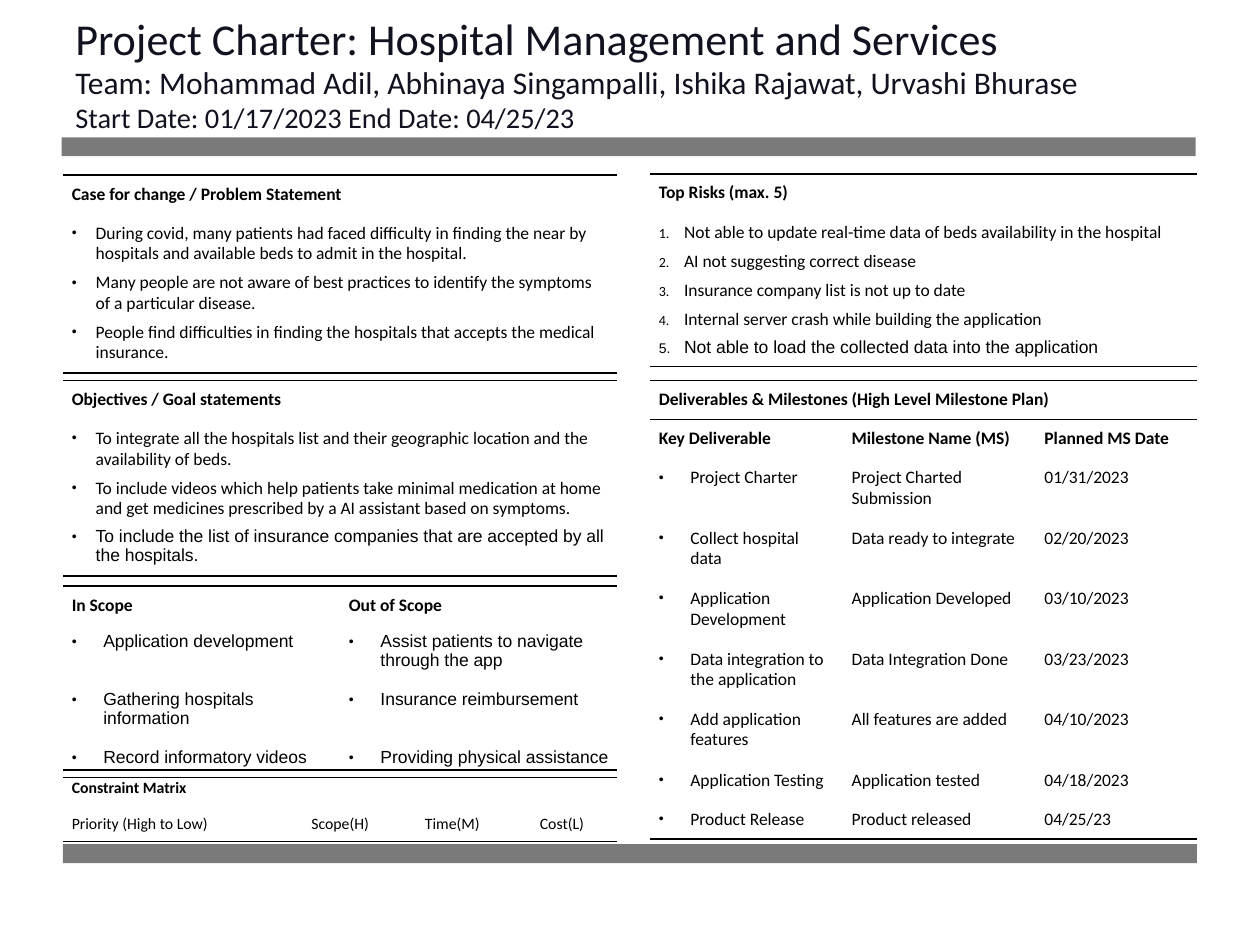
from dataclasses import dataclass
from typing import Optional

from lxml.etree import SubElement
from pptx import Presentation
from pptx.dml.color import RGBColor
from pptx.enum.shapes import MSO_SHAPE as Preset
from pptx.enum.text import MSO_ANCHOR as Anchor, PP_ALIGN as Align
from pptx.oxml.ns import qn
from pptx.util import Inches, Pt


@dataclass(frozen=True)
class Theme:
    ink: str = "000000"
    title_ink: str = "11121F"
    bar: str = "7A7A7A"
    font: str = "Calibri"
    alt_font: str = "Arial"
    title_sizes: tuple = (25.2, 18, 16.2)
    body: float = 10
    small: float = 9
    rule: float = 1
    line_spacing: float = 0.96
    inset: float = 0.07


THEME = Theme()


@dataclass(frozen=True)
class Item:
    text: str
    bold: bool = False
    marker: Optional[str] = None
    indent: float = 0
    font: str = THEME.font
    align: Align = Align.LEFT


@dataclass(frozen=True)
class Panel:
    """A ruled table; each cell is a list of items, a short row spans all columns."""
    left: float
    top: float
    columns: tuple
    heights: tuple
    rows: list
    rules: tuple
    size: float = THEME.body


def heading(text: str) -> list:
    return [Item(text, bold=True)]


def plain(text: str, align: Align = Align.LEFT) -> list:
    return [Item(text, align=align)]


def bullet(text: str, font: str = THEME.font) -> list:
    return [Item(text, marker="bullet", indent=0.25, font=font)]


def marked_list(marker: str, indent: float, *texts: str) -> list:
    """Items of one list, the last of them in the alternative font."""
    fonts = [THEME.font] * (len(texts) - 1) + [THEME.alt_font]
    return [Item(text, marker=marker, indent=indent, font=font)
            for text, font in zip(texts, fonts)]


SCOPE = [
    ("Application development", "Assist patients to navigate through the app"),
    ("Gathering hospitals information", "Insurance reimbursement"),
    ("Record informatory videos", "Providing physical assistance"),
]
MILESTONES = [
    ("Project Charter", "Project Charted Submission", "01/31/2023"),
    ("Collect hospital data", "Data ready to integrate", "02/20/2023"),
    ("Application Development", "Application Developed", "03/10/2023"),
    ("Data integration to the application", "Data Integration Done", "03/23/2023"),
    ("Add application features", "All features are added", "04/10/2023"),
    ("Application Testing", "Application tested", "04/18/2023"),
    ("Product Release", "Product released", "04/25/23"),
]
PROBLEMS = [
    Item(text, marker="bullet", indent=0.19) for text in (
        "During covid, many patients had faced difficulty in finding the near by "
        "hospitals and available beds to admit in the hospital.",
        "Many people are not aware of best practices to identify the symptoms "
        "of a particular disease.",
        "People find difficulties in finding the hospitals that accepts the "
        "medical insurance.")
]
GOALS = marked_list(
    "bullet", 0.19,
    "To integrate all the hospitals list and their geographic location and the "
    "availability of beds.",
    "To include videos which help patients take minimal medication at home "
    "and get medicines prescribed by a AI assistant based on symptoms.",
    "To include the list of insurance companies that are accepted by all the hospitals.")
RISKS = marked_list(
    "number", 0.2,
    "Not able to update real-time data of beds availability in the hospital",
    "AI not suggesting correct disease",
    "Insurance company list is not up to date",
    "Internal server crash while building the application",
    "Not able to load the collected data into the application")

LEFT, RIGHT = 0.5, 5.16
PANELS = [
    Panel(LEFT, 1.39, (4.4,), (0.31, 1.26),
          [[heading("Case for change / Problem Statement")], [PROBLEMS]], (0, 2)),
    Panel(LEFT, 3.02, (4.4,), (0.31, 1.22),
          [[heading("Objectives / Goal statements")], [GOALS]], (0, 2)),
    Panel(LEFT, 4.65, (2.2, 2.2), (0.29, 0.44, 0.44, 0.28),
          [[heading("In Scope"), heading("Out of Scope")]]
          + [[bullet(text, THEME.alt_font) for text in row] for row in SCOPE], (0, 4)),
    Panel(LEFT, 6.11, (1.74, 0.92, 0.86, 0.88), (0.28, 0.28),
          [[heading("Constraint Matrix")],
           [plain("Priority (High to Low)")]
           + [plain(text, Align.CENTER) for text in ("Scope(H)", "Time(M)", "Cost(L)")]],
          (0, 2), THEME.small),
    Panel(RIGHT, 1.38, (4.34,), (0.31, 1.21),
          [[heading("Top Risks (max. 5)")], [RISKS]], (0, 2)),
    Panel(RIGHT, 3.02, (1.53, 1.53, 1.28), (0.31,) * 2 + (0.48,) * 5 + (0.31,) * 2,
          [[heading("Deliverables & Milestones (High Level Milestone Plan)")],
           [heading(text) for text in
            ("Key Deliverable", "Milestone Name (MS)", "Planned MS Date")]]
          + [[bullet(deliverable), plain(name), plain(date)]
             for deliverable, name, date in MILESTONES], (0, 1, 9)),
]


def format_span(span, font: str, size: float, color: str, bold: bool = False) -> None:
    span.font.name = font
    span.font.size = Pt(size)
    span.font.bold = bold
    span.font.color.rgb = RGBColor.from_string(color)


def write_item(para, item: Item, size: float) -> None:
    para.text = item.text
    para.alignment = item.align
    para.line_spacing = THEME.line_spacing
    format_span(para.runs[0], item.font, size, THEME.ink, item.bold)
    props = para._p.get_or_add_pPr()
    SubElement(SubElement(props, qn("a:spcBef")), qn("a:spcPct"), val="50000")
    if item.marker:
        props.set("marL", str(Inches(item.indent)))
        props.set("indent", str(-Inches(item.indent)))
        SubElement(props, qn("a:buSzPct"), val="80000")
        SubElement(props, qn("a:buFont"), typeface=THEME.alt_font)
        if item.marker == "number":
            SubElement(props, qn("a:buAutoNum"), type="arabicPeriod")
        else:
            SubElement(props, qn("a:buChar"), char="•")


def style_cell(cell, rule_above: bool, rule_below: bool) -> None:
    cell.margin_left = cell.margin_right = Inches(THEME.inset)
    cell.margin_top = cell.margin_bottom = Inches(THEME.inset)
    props = cell._tc.get_or_add_tcPr()
    edges = {"lnL": False, "lnR": False, "lnT": rule_above, "lnB": rule_below}
    for edge, ruled in edges.items():
        line = SubElement(props, qn(f"a:{edge}"), w=str(Pt(THEME.rule)))
        if ruled:
            SubElement(SubElement(line, qn("a:solidFill")), qn("a:srgbClr"), val=THEME.ink)
        else:
            SubElement(line, qn("a:noFill"))
    cell.fill.background()


def draw_panel(page, panel: Panel) -> None:
    table = page.shapes.add_table(
        len(panel.rows), len(panel.columns), Inches(panel.left), Inches(panel.top),
        Inches(sum(panel.columns)), Inches(sum(panel.heights))).table
    table.first_row = table.horz_banding = False
    for column, width in zip(table.columns, panel.columns):
        column.width = Inches(width)
    for index, (row, height) in enumerate(zip(panel.rows, panel.heights)):
        table.rows[index].height = Inches(height)
        cells = list(table.rows[index].cells)
        for cell in cells:
            style_cell(cell, index in panel.rules, index + 1 in panel.rules)
        if len(row) < len(cells):
            cells[0].merge(cells[-1])
        for cell, items in zip(cells, row):
            frame = cell.text_frame
            for number, item in enumerate(items):
                para = frame.add_paragraph() if number else frame.paragraphs[0]
                write_item(para, item, panel.size)


def draw_bar(page, left: float, top: float) -> None:
    bar = page.shapes.add_shape(Preset.RECTANGLE, Inches(left), Inches(top),
                                Inches(9), Inches(0.15))
    bar.shadow.inherit = False
    bar.fill.solid()
    bar.fill.fore_color.rgb = RGBColor.from_string(THEME.bar)
    bar.line.fill.background()


def draw_title(page, *lines: str) -> None:
    box = page.shapes.add_textbox(Inches(0.5), Inches(0.01), Inches(9), Inches(1.08))
    frame = box.text_frame
    frame.word_wrap = True
    frame.vertical_anchor = Anchor.BOTTOM
    frame.margin_top = frame.margin_bottom = Inches(0.02)
    para = frame.paragraphs[0]
    para.text = "\v".join(lines)
    para.line_spacing = THEME.line_spacing
    for span, size in zip(para.runs, THEME.title_sizes):
        format_span(span, THEME.font, size, THEME.title_ink)


def main() -> None:
    deck = Presentation()
    deck.slide_width, deck.slide_height = Inches(10), Inches(7.5)
    page = deck.slides.add_slide(deck.slide_layouts[6])
    draw_bar(page, 0.5, 6.7)
    draw_bar(page, 0.49, 1.09)
    draw_title(page, "Project Charter: Hospital Management and Services",
               "Team: Mohammad Adil, Abhinaya Singampalli, Ishika Rajawat, Urvashi Bhurase",
               "Start Date: 01/17/2023 End Date: 04/25/23")
    for panel in PANELS:
        draw_panel(page, panel)
    deck.save("out.pptx")


if __name__ == "__main__":
    main()
